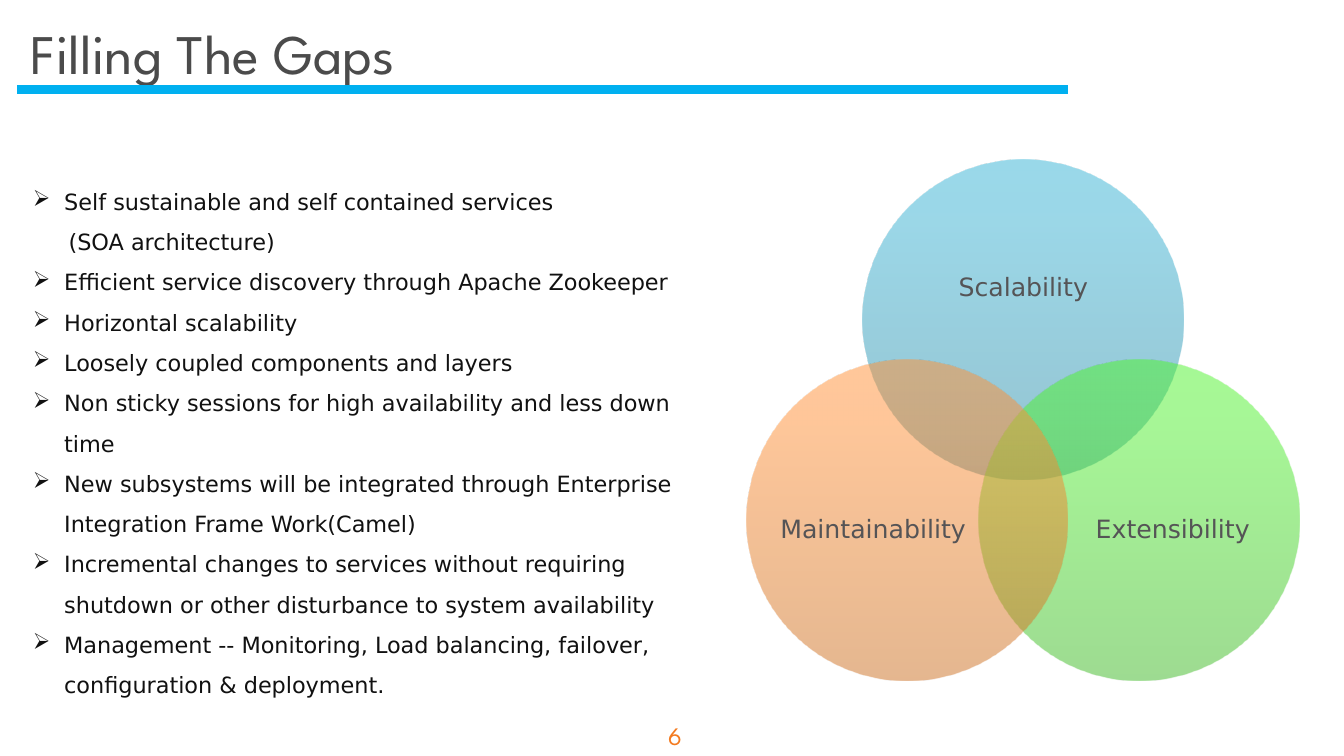
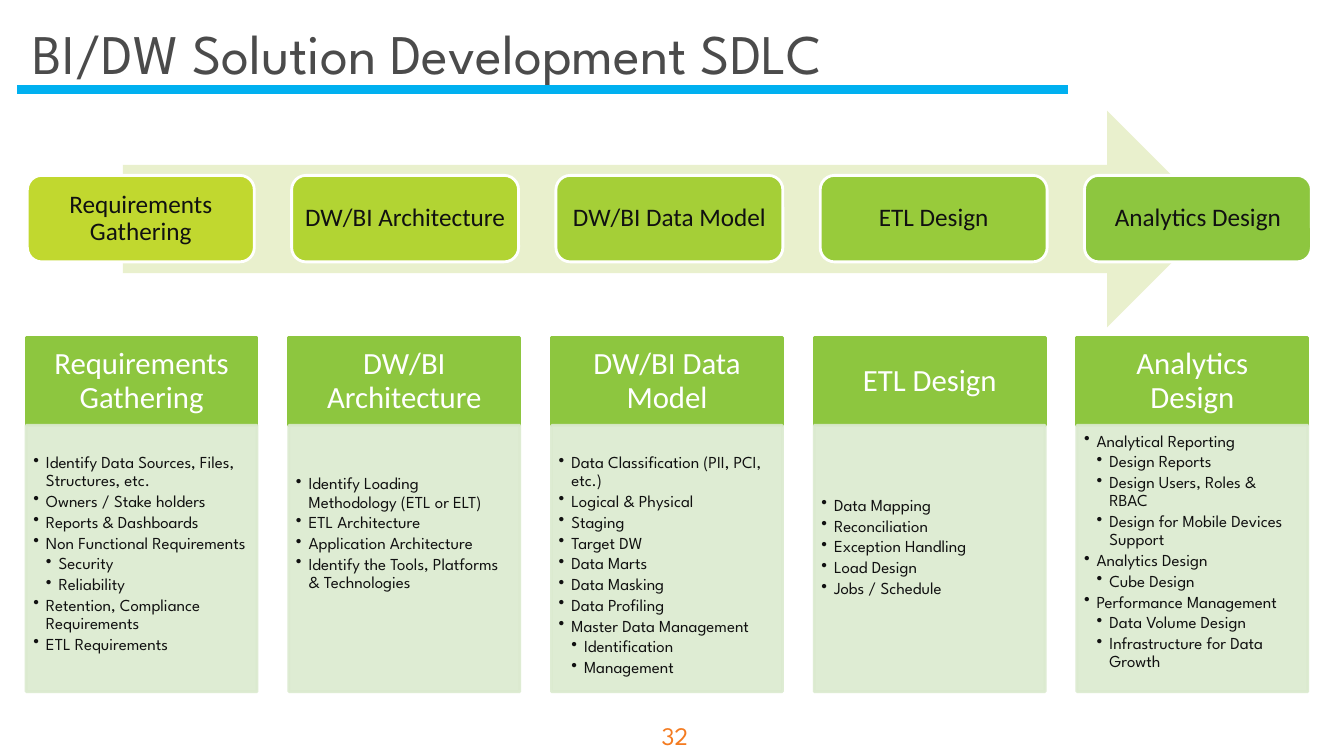
"""Build two slides: a Venn of architecture goals and a BI/DW development life cycle."""
from lxml.etree import SubElement
from pptx import Presentation
from pptx.dml.color import RGBColor
from pptx.enum.shapes import MSO_CONNECTOR, MSO_SHAPE as Preset
from pptx.enum.text import MSO_ANCHOR as Anchor, PP_ALIGN as Align
from pptx.oxml.ns import qn
from pptx.util import Cm, Pt

HEADING, SANS, LABEL = "League Spartan", "DejaVu Sans", "Calibri"
INK, TITLE_GREY, VENN_GREY, WHITE = "111111", "4B4B4B", "555456", "FFFFFF"
RULE_BLUE, NUMBER_ORANGE = "00B0F0", "F47B20"
GREEN, PALE_GREEN, ARROW_GREEN = "8DC63F", "DBEACF", "E9F0CD"

GAPS_TITLE = "Filling The Gaps"
CONTINUATION = "(SOA architecture)"
GAPS = [
    "Self sustainable and self contained services",
    CONTINUATION,
    "Efficient service discovery through Apache Zookeeper",
    "Horizontal scalability",
    "Loosely coupled components and layers",
    "Non sticky sessions for high availability and less down time",
    "New subsystems will be integrated through Enterprise Integration Frame Work(Camel)",
    "Incremental changes to services without requiring shutdown or other disturbance "
    "to system availability",
    "Management -- Monitoring, Load balancing, failover, configuration & deployment.",
]
GOAL_DIAMETER = 8.08
GOALS = [
    ("Scalability", (21.74, 4.01), (22.83, 5.44, 5.92, 3.63), ("2A88A2", "37B1D2", "34B4D6")),
    ("Extensibility", (24.66, 9.07), (27.13, 11.15, 4.85, 4.45), ("3CB923", "4EF02E", "4CF52A")),
    ("Maintainability", (18.82, 9.07), (19.58, 11.15, 4.85, 4.45), ("CC6E20", "FF9034", "FF9136")),
]

SDLC_TITLE = "BI/DW Solution Development SDLC"
PHASES = [
    ("Requirements Gathering", "C1D82F", 1, [
        "Identify Data Sources, Files, Structures, etc.", "Owners / Stake holders",
        "Reports & Dashboards", "Non Functional Requirements", ["Security", "Reliability"],
        "Retention, Compliance Requirements", "ETL Requirements"]),
    ("DW/BI Architecture", "B2D433", 2, [
        "Identify Loading Methodology (ETL or ELT)", "ETL Architecture",
        "Application Architecture", "Identify the Tools, Platforms & Technologies"]),
    ("DW/BI Data Model", "A5CF37", 1, [
        "Data Classification (PII, PCI, etc.)", "Logical & Physical", "Staging", "Target DW",
        "Data Marts", "Data Masking", "Data Profiling", "Master Data Management",
        ["Identification", "Management"]]),
    ("ETL Design", "98CB3B", 3, [
        "Data Mapping", "Reconciliation", "Exception Handling", "Load Design",
        "Jobs / Schedule"]),
    ("Analytics Design", GREEN, 0, [
        "Analytical Reporting",
        ["Design Reports", "Design Users, Roles & RBAC", "Design for Mobile Devices Support"],
        "Analytics Design", ["Cube Design"],
        "Performance Management", ["Data Volume Design", "Infrastructure for Data Growth"]]),
]
COLUMN_LEFT, COLUMN_PITCH, COLUMN_WIDTH = 0.66, 6.62, 5.82
STEP_LEFT, STEP_PITCH, STEP_WIDTH = 0.69, 6.66, 5.72
LEAD_LINE = 0.54


def rgb(value):
    """Turn a hex string into a colour."""
    return RGBColor.from_string(value)


def set_frame(frame, insets, anchor=Anchor.TOP):
    """Set wrapping, insets (left, top, right, bottom) and anchor of a text frame."""
    frame.word_wrap = True
    frame.vertical_anchor = anchor
    (frame.margin_left, frame.margin_top,
     frame.margin_right, frame.margin_bottom) = map(Cm, insets)


def write(paragraph, text, font, size, color, align=Align.LEFT, spacing=1.0):
    """Write one run with its font into a paragraph."""
    paragraph.alignment = align
    paragraph.line_spacing = spacing
    run = paragraph.add_run()
    run.text = text
    run.font.name, run.font.size = font, Pt(size)
    run.font.color.rgb = rgb(color)


def set_indent(paragraph, margin, hanging=0, bullet=None):
    """Indent a paragraph and give it a hanging bullet if there is one."""
    properties = paragraph._p.get_or_add_pPr()
    properties.set("marL", str(Cm(margin)))
    properties.set("indent", str(-Cm(hanging)))
    if bullet:
        SubElement(properties, qn("a:buChar")).set("char", bullet)


def next_paragraph(frame, index):
    """Return the first paragraph of a frame, or a new one after it."""
    return frame.add_paragraph() if index else frame.paragraphs[0]


def add_box(slide, box, insets=(0.25, 0.13, 0.25, 0.13), anchor=Anchor.TOP):
    """Add a text box and return its frame."""
    frame = slide.shapes.add_textbox(*map(Cm, box)).text_frame
    set_frame(frame, insets, anchor)
    return frame


def add_panel(slide, preset, box, fill=None, line=None):
    """Add a flat preset shape."""
    panel = slide.shapes.add_shape(preset, *map(Cm, box))
    panel.shadow.inherit = False
    if fill:
        panel.fill.solid()
        panel.fill.fore_color.rgb = rgb(fill)
    if line:
        panel.line.color.rgb = rgb(line)
        panel.line.width = Pt(2)
    else:
        panel.line.fill.background()
    return panel


def set_opacity(panel, percent):
    """Make every colour of a shape partly transparent."""
    for color in panel._element.spPr.iter(qn("a:srgbClr")):
        SubElement(color, qn("a:alpha")).set("val", str(percent * 1000))


def set_upward_gradient(panel, colors):
    """Fill a shape with a gradient that runs from bottom to top."""
    panel.fill.gradient()
    gradient = panel._element.spPr.find(qn("a:gradFill"))
    for child in list(gradient):
        gradient.remove(child)
    stops = SubElement(gradient, qn("a:gsLst"))
    for position, color in zip((0, 80, 100), colors):
        stop = SubElement(stops, qn("a:gs"), pos=str(position * 1000))
        SubElement(stop, qn("a:srgbClr"), val=color)
    SubElement(gradient, qn("a:lin"), ang="16200000", scaled="0")


def add_page(deck, title, title_left, number):
    """Add a slide with its title, rule and number."""
    slide = deck.slides.add_slide(deck.slide_layouts[6])
    footer = add_box(slide, (16.36, 18.03, 1.3, 1.02))
    write(footer.paragraphs[0], number, HEADING, 18, NUMBER_ORANGE, Align.CENTER)
    heading = add_box(slide, (title_left, 0.36, 30.25, 1.93), (0.3, 0.15, 0.3, 0.15), Anchor.MIDDLE)
    write(heading.paragraphs[0], title, HEADING, 39.9, TITLE_GREY)
    rule = slide.shapes.add_connector(
        MSO_CONNECTOR.STRAIGHT, Cm(0.43), Cm(2.26), Cm(26.92), Cm(2.26))
    rule.line.color.rgb = rgb(RULE_BLUE)
    rule.line.width = Pt(6.75)
    SubElement(rule._element.spPr, qn("a:effectLst"))
    return slide


def build_gaps(deck):
    """Build the bullet list beside the Venn of goals."""
    slide = add_page(deck, GAPS_TITLE, 0.48, "6")
    for goal, corner, label_box, colors in GOALS:
        circle = add_panel(slide, Preset.OVAL, (*corner, GOAL_DIAMETER, GOAL_DIAMETER))
        set_upward_gradient(circle, colors)
        set_opacity(circle, 50)
        label = add_box(slide, label_box, (0, 0, 0, 0), Anchor.MIDDLE)
        write(label.paragraphs[0], goal, SANS, 18, VENN_GREY, Align.CENTER, 0.9)
    gaps = add_box(slide, (0.58, 4.27, 17.55, 13.7))
    for index, gap in enumerate(GAPS):
        paragraph = next_paragraph(gaps, index)
        if gap == CONTINUATION:
            set_indent(paragraph, 0.9)
        else:
            set_indent(paragraph, 0.79, 0.79, "➢")
        write(paragraph, gap, SANS, 16, INK, spacing=1.5)


def flatten(tasks, level=0):
    """Yield each task with its level."""
    for task in tasks:
        if isinstance(task, list):
            yield from flatten(task, level + 1)
        else:
            yield level, task


def add_phase_column(slide, left, phase, lead_lines, tasks):
    """Add a phase heading with its task list below."""
    header = add_panel(slide, Preset.RECTANGLE, (left, 8.51, COLUMN_WIDTH, 2.21), GREEN, GREEN)
    set_frame(header.text_frame, (0.43, 0.25, 0.43, 0.25), Anchor.MIDDLE)
    write(header.text_frame.paragraphs[0], phase, LABEL, 22, WHITE, Align.CENTER, 0.9)
    body = add_panel(slide, Preset.RECTANGLE, (left, 10.72, COLUMN_WIDTH, 6.71),
                     PALE_GREEN, PALE_GREEN)
    set_opacity(body, 90)
    set_frame(body.text_frame, (0.18, 0.18 + lead_lines * LEAD_LINE, 0.23, 0.25))
    for index, (level, task) in enumerate(flatten(tasks)):
        paragraph = next_paragraph(body.text_frame, index)
        paragraph.level = level
        set_indent(paragraph, 0.32 * (level + 1), 0.32, "•")
        paragraph.space_after = Pt(1.9)
        write(paragraph, task, HEADING, 12, INK, spacing=0.9)


def build_sdlc(deck):
    """Build the phase arrow above the task columns."""
    slide = add_page(deck, SDLC_TITLE, 0.53, "32")
    add_panel(slide, Preset.RIGHT_ARROW, (3.1, 2.79, 27.53, 5.46), ARROW_GREEN)
    for index, (phase, step_color, lead_lines, tasks) in enumerate(PHASES):
        add_phase_column(slide, COLUMN_LEFT + index * COLUMN_PITCH, phase, lead_lines, tasks)
        step = add_panel(slide, Preset.ROUNDED_RECTANGLE,
                         (STEP_LEFT + index * STEP_PITCH, 4.42, STEP_WIDTH, 2.18),
                         step_color, WHITE)
        set_frame(step.text_frame, (0.18, 0.18, 0.18, 0.18), Anchor.MIDDLE)
        write(step.text_frame.paragraphs[0], phase, LABEL, 18, INK, Align.CENTER, 0.9)


def main():
    """Build and save the deck."""
    deck = Presentation()
    deck.slide_width, deck.slide_height = Cm(33.87), Cm(19.05)
    build_gaps(deck)
    build_sdlc(deck)
    deck.save("out.pptx")


if __name__ == "__main__":
    main()
